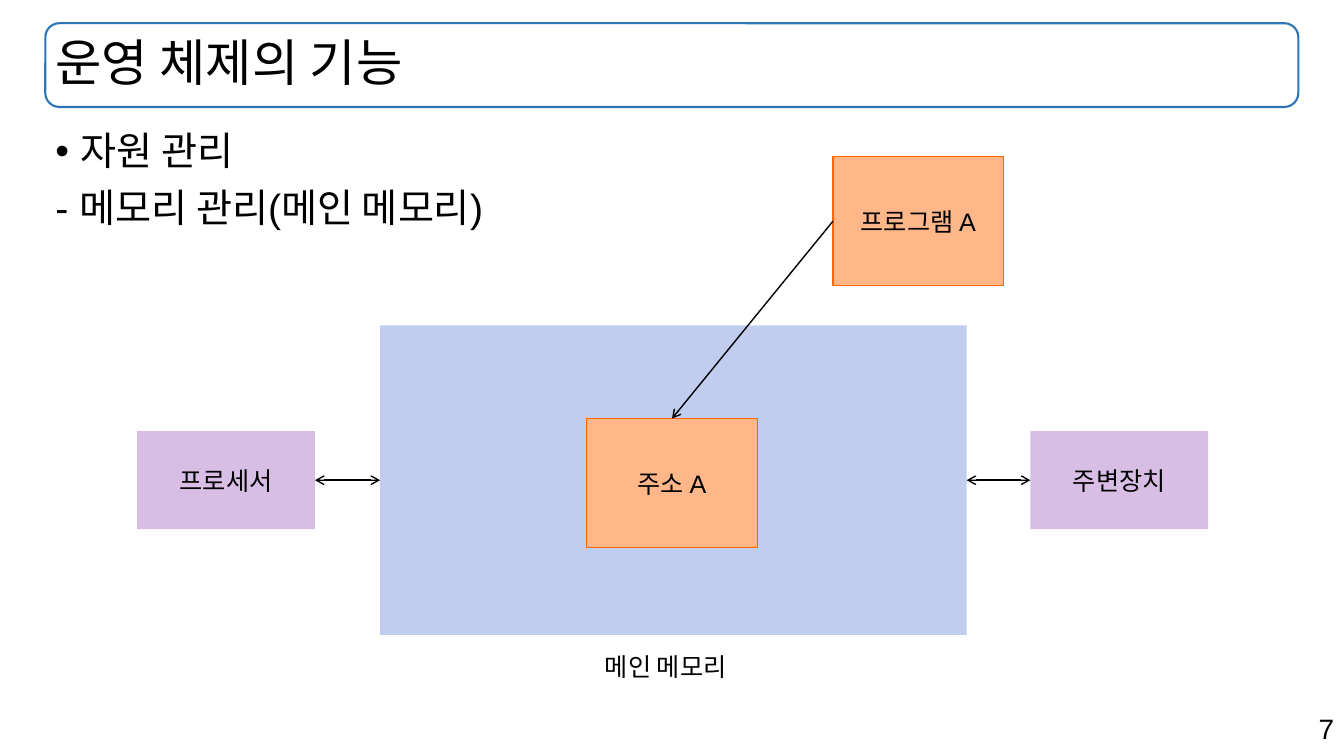
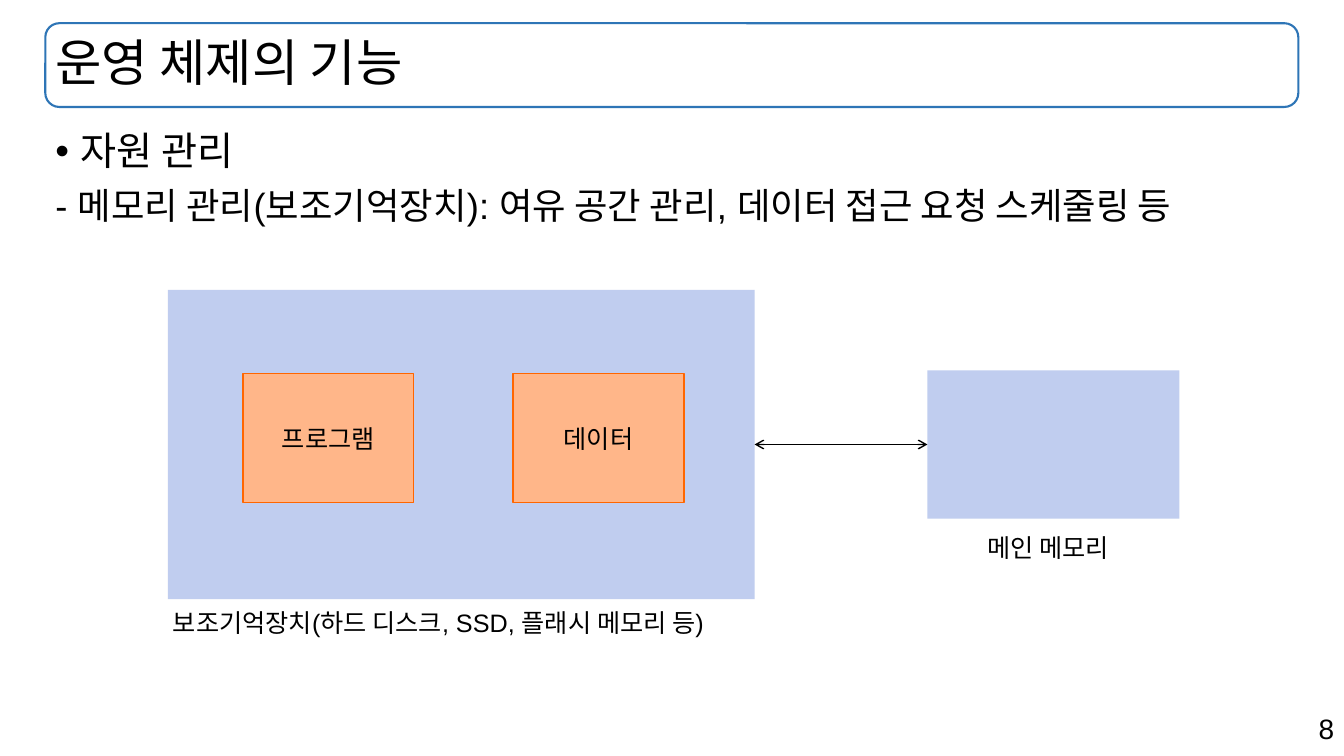
from lxml.etree import SubElement as Sub
from pptx import Presentation
from pptx.dml.color import RGBColor
from pptx.enum.shapes import MSO_CONNECTOR as Conn, MSO_SHAPE as Shape
from pptx.enum.text import MSO_ANCHOR as Anchor, MSO_AUTO_SIZE as Auto, PP_ALIGN as Align
from pptx.oxml.ns import qn
from pptx.util import Pt

TOP, LEFT, RIGHT = 0, 1, 3


def color(code):
    """Turn a hex string into a colour."""
    return RGBColor.from_string(code)


class Deck:
    """Hold the style and the current slide."""

    font, ink, frame = "Arial", "000000", "2E75B6"
    blue, mauve, peach, edge = "C0CDEF", "D8BEE4", "FFB689", "FF6600"
    head = (32.4, 16.6, 895, 59.8)
    main = (32.4, 90.7, 895, 398)
    foot = (679, 504.7, 281, 32)
    tile = (122, 92)
    store = (419, 221)

    def __init__(self):
        """Start a wide presentation."""
        self.prs = Presentation()
        self.prs.slide_width, self.prs.slide_height = Pt(960), Pt(540)

    def style(self, para, size, align=Align.LEFT):
        """Set the font and alignment of a paragraph."""
        para.alignment = align
        para.font.name, para.font.size = self.font, Pt(size)
        para.font.color.rgb = color(self.ink)

    def place(self, hold, area, anchor):
        """Move a placeholder and return its text frame."""
        hold.left, hold.top, hold.width, hold.height = map(Pt, area)
        frame = hold.text_frame
        frame.auto_size, frame.vertical_anchor = Auto.NONE, anchor
        frame.word_wrap = True
        return frame

    def page(self, title, items, num):
        """Add a slide with framed title, list and page number."""
        self.slide = self.prs.slides.add_slide(self.prs.slide_layouts[1])
        self.box(self.head, None, self.frame, 1.5, Shape.ROUNDED_RECTANGLE)
        para = self.place(self.slide.shapes.title, self.head, Anchor.MIDDLE).paragraphs[0]
        para.text, para.line_spacing = title, 0.9
        self.style(para, 36)
        self.items(items)
        self.note(self.foot, str(num), 20, Align.RIGHT)

    def items(self, items):
        """Fill the body with (text, size, bullet) items."""
        frame = self.place(self.slide.placeholders[1], self.main, Anchor.TOP)
        for i, (text, size, dot) in enumerate(items):
            para = frame.add_paragraph() if i else frame.paragraphs[0]
            para.text = text
            props = para._p.get_or_add_pPr()
            dent = Pt(18) if dot else 0
            props.set("marL", str(dent))
            props.set("indent", str(-dent))
            if dot:
                Sub(props, qn("a:buChar")).set("char", "•")
            else:
                Sub(props, qn("a:buNone"))
            para.line_spacing = 0.9
            para.space_before = Pt(10 if i else 0)
            self.style(para, size)

    def box(self, area, fill, line=None, width=1, kind=Shape.RECTANGLE, text=""):
        """Add a shape, with a centred label if there is text."""
        box = self.slide.shapes.add_shape(kind, *map(Pt, area))
        box.shadow.inherit = False
        if fill:
            box.fill.solid()
            box.fill.fore_color.rgb = color(fill)
        else:
            box.fill.background()
        if line:
            box.line.color.rgb, box.line.width = color(line), Pt(width)
        else:
            box.line.fill.background()
        if text:
            frame = box.text_frame
            frame.vertical_anchor = Anchor.MIDDLE
            frame.text = text
            self.style(frame.paragraphs[0], 18, Align.CENTER)
        return box

    def card(self, left, top, text):
        """Add an orange tile with a label."""
        return self.box((left, top, *self.tile), self.peach, self.edge, text=text)

    def note(self, area, text, size=18, align=Align.LEFT):
        """Add a line of free text."""
        frame = self.slide.shapes.add_textbox(*map(Pt, area)).text_frame
        frame.word_wrap, frame.text = True, text
        self.style(frame.paragraphs[0], size, align)

    def arrow(self, start, side, end, goal, both=True):
        """Join two boxes with an arrow."""
        link = self.slide.shapes.add_connector(Conn.STRAIGHT, 0, 0, 0, 0)
        link.begin_connect(start, side)
        link.end_connect(end, goal)
        link.line.color.rgb, link.line.width = color(self.ink), Pt(1)
        line = link.line._get_or_add_ln()
        for tag in ("a:headEnd", "a:tailEnd")[0 if both else 1:]:
            Sub(line, qn(tag)).set("type", "arrow")
        Sub(link._element.spPr, qn("a:effectLst"))


def main():
    """Build both slides and save them."""
    deck = Deck()
    title, topic = "운영 체제의 기능", ("자원 관리", 28, True)

    deck.page(title, [topic, ("- 메모리 관리(메인 메모리)", 28, False)], 7)
    mem = deck.box((271.5, 232.5, *deck.store), deck.blue)
    deck.note((425, 462, 112, 29), "메인 메모리")
    cpu, unit = [deck.box((left, 308, 127, 70), deck.mauve, text=text)
                 for left, text in ((98, "프로세서"), (736, "주변장치"))]
    deck.arrow(cpu, RIGHT, mem, LEFT)
    deck.arrow(mem, RIGHT, unit, LEFT)
    cell = deck.card(419, 299, "주소 A")
    prog = deck.card(595, 112, "프로그램 A")
    deck.arrow(prog, LEFT, cell, TOP, both=False)

    deck.page(title, [topic, (
        "- 메모리 관리(보조기억장치): 여유 공간 관리, 데이터 접근 요청 스케줄링 등", 26, False)], 8)
    disk = deck.box((120, 207, *deck.store), deck.blue)
    deck.note((116.5, 430.5, 440, 29), "보조기억장치(하드 디스크, SSD, 플래시 메모리 등)")
    for left, text in ((173.5, "프로그램"), (366.5, "데이터")):
        deck.card(left, 267, text)
    mem = deck.box((662.5, 264.5, 180, 106), deck.blue)
    deck.note((698, 377, 112, 29), "메인 메모리")
    deck.arrow(disk, RIGHT, mem, LEFT)

    deck.prs.save("out.pptx")


if __name__ == "__main__":
    main()
